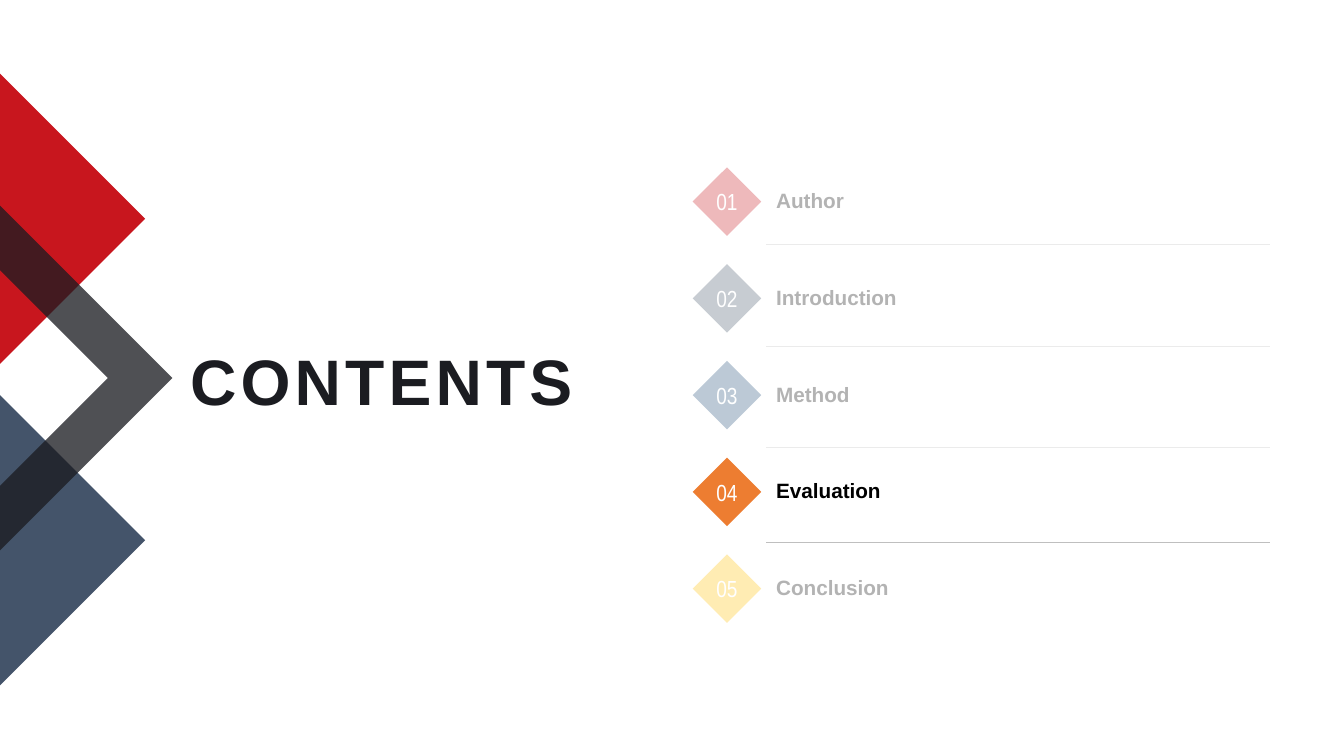
"""Build the contents slide that highlights the Evaluation section."""
from dataclasses import dataclass

import lxml.etree
import pptx
import pptx.dml.color
import pptx.enum.shapes
import pptx.enum.text
import pptx.oxml.ns
import pptx.util

Inches = pptx.util.Inches
Align = pptx.enum.text.PP_ALIGN
Anchor = pptx.enum.text.MSO_ANCHOR
Shape = pptx.enum.shapes.MSO_SHAPE
qn = pptx.oxml.ns.qn


@dataclass(frozen=True)
class Theme:
    """Colours, fonts and type sizes of the slide."""
    red: str = "C8161E"
    slate: str = "44546A"
    blue: str = "1F4D78"
    orange: str = "ED7D31"
    yellow: str = "FFC000"
    ink: str = "1B1C21"
    black: str = "000000"
    white: str = "FFFFFF"
    rule: str = "BFBFBF"
    font: str = "Arial"
    number_font: str = "Arial Narrow"
    title_size: float = 45.9
    label_size: float = 14.8
    number_size: float = 16.6


THEME = Theme()
SECTIONS = [
    ("Author", THEME.red),
    ("Introduction", THEME.slate),
    ("Method", THEME.blue),
    ("Evaluation", THEME.orange),
    ("Conclusion", THEME.yellow),
]
FIRST_ROW, ROW_PITCH = 1.66, 0.96
DIAMOND_LEFT, DIAMOND_SIZE = 6.87, 0.68
LABEL_LEFT, LABEL_OFFSET = 7.6, 0.17
RULE_RIGHT, RULE_HEIGHTS = 12.6, (2.42, 3.43, 4.44, 5.38)
VEIL_LEFT, VEIL_WIDTH = 6.59, 6.37
VEILS = ((5.43, 0.93), (1.34, 3.16))


def rgb(colour):
    """Turn a hex string into a colour."""
    return pptx.dml.color.RGBColor.from_string(colour)


def paint(shape, colour, opacity=100):
    """Give a shape a plain fill without outline or shadow."""
    shape.shadow.inherit = False
    shape.line.fill.background()
    shape.fill.solid()
    shape.fill.fore_color.rgb = rgb(colour)
    if opacity < 100:
        tint = shape.fill._xPr.find(qn("a:solidFill"))[0]
        lxml.etree.SubElement(tint, qn("a:alpha")).set("val", str(opacity * 1000))


def write(shape, text, font, size, colour, align, anchor, bold=False):
    """Put one formatted paragraph into a shape."""
    frame = shape.text_frame
    frame.vertical_anchor = anchor
    para = frame.paragraphs[0]
    para.text = text
    para.alignment = align
    para.font.name = font
    para.font.size = pptx.util.Pt(size)
    para.font.bold = bold
    para.font.color.rgb = rgb(colour)
    return para


def add_polygon(page, points, colour, opacity=100):
    """Draw a closed outline through points given in inches."""
    start, *others = [(Inches(x), Inches(y)) for x, y in points]
    builder = page.shapes.build_freeform(*start)
    builder.add_line_segments(others, close=True)
    paint(builder.convert_to_shape(), colour, opacity)


def add_title(page, text):
    """Place the title placeholder beside the chevron."""
    title = page.shapes.title
    title.left, title.top = Inches(1.69), Inches(3.26)
    title.width, title.height = Inches(4.09), Inches(1.01)
    title.text_frame.margin_left = 0
    para = write(title, text, THEME.font, THEME.title_size, THEME.ink,
                 Align.RIGHT, Anchor.MIDDLE, bold=True)
    para.font._element.set("spc", "300")


def add_section(page, index, name, colour):
    """Add the numbered diamond and the label of one section."""
    top = FIRST_ROW + index * ROW_PITCH
    diamond = page.shapes.add_shape(
        Shape.DIAMOND, Inches(DIAMOND_LEFT), Inches(top),
        Inches(DIAMOND_SIZE), Inches(DIAMOND_SIZE))
    paint(diamond, colour)
    diamond.text_frame.word_wrap = False
    write(diamond, f"{index + 1:02}", THEME.number_font, THEME.number_size,
          THEME.white, Align.CENTER, Anchor.MIDDLE)
    label = page.shapes.add_textbox(
        Inches(LABEL_LEFT), Inches(top + LABEL_OFFSET), Inches(4.33), Inches(0.33))
    label.text_frame.word_wrap = True
    write(label, name, THEME.font, THEME.label_size, THEME.black,
          Align.LEFT, Anchor.BOTTOM, bold=True)


def add_rule(page, height):
    """Draw a thin horizontal rule between sections."""
    rule = page.shapes.add_connector(
        pptx.enum.shapes.MSO_CONNECTOR.STRAIGHT,
        Inches(LABEL_LEFT), Inches(height), Inches(RULE_RIGHT), Inches(height))
    rule.line.color.rgb = rgb(THEME.rule)
    rule.line.width = pptx.util.Pt(0.25)
    lxml.etree.SubElement(rule._element.spPr, qn("a:effectLst"))


def add_veil(page, top, height):
    """Fade the sections that are not current."""
    veil = page.shapes.add_shape(
        Shape.RECTANGLE, Inches(VEIL_LEFT), Inches(top),
        Inches(VEIL_WIDTH), Inches(height))
    paint(veil, THEME.white, opacity=70)


def main():
    """Build and save the deck."""
    deck = pptx.Presentation()
    deck.slide_width, deck.slide_height = Inches(13.33), Inches(7.5)
    page = deck.slides.add_slide(deck.slide_layouts[5])
    add_polygon(page, [(0, 3.92), (1.44, 5.36), (0, 6.8)], THEME.slate)
    add_polygon(page, [(0, 0.73), (1.44, 2.17), (0, 3.61)], THEME.red)
    add_polygon(page, [(0, 2.04), (1.71, 3.75), (0, 5.46),
                       (0, 4.82), (1.07, 3.75), (0, 2.68)], THEME.ink, opacity=77)
    add_title(page, "CONTENTS")
    for index, (name, colour) in enumerate(SECTIONS):
        add_section(page, index, name, colour)
    for height in RULE_HEIGHTS:
        add_rule(page, height)
    for top, height in VEILS:
        add_veil(page, top, height)
    deck.save("out.pptx")


if __name__ == "__main__":
    main()
